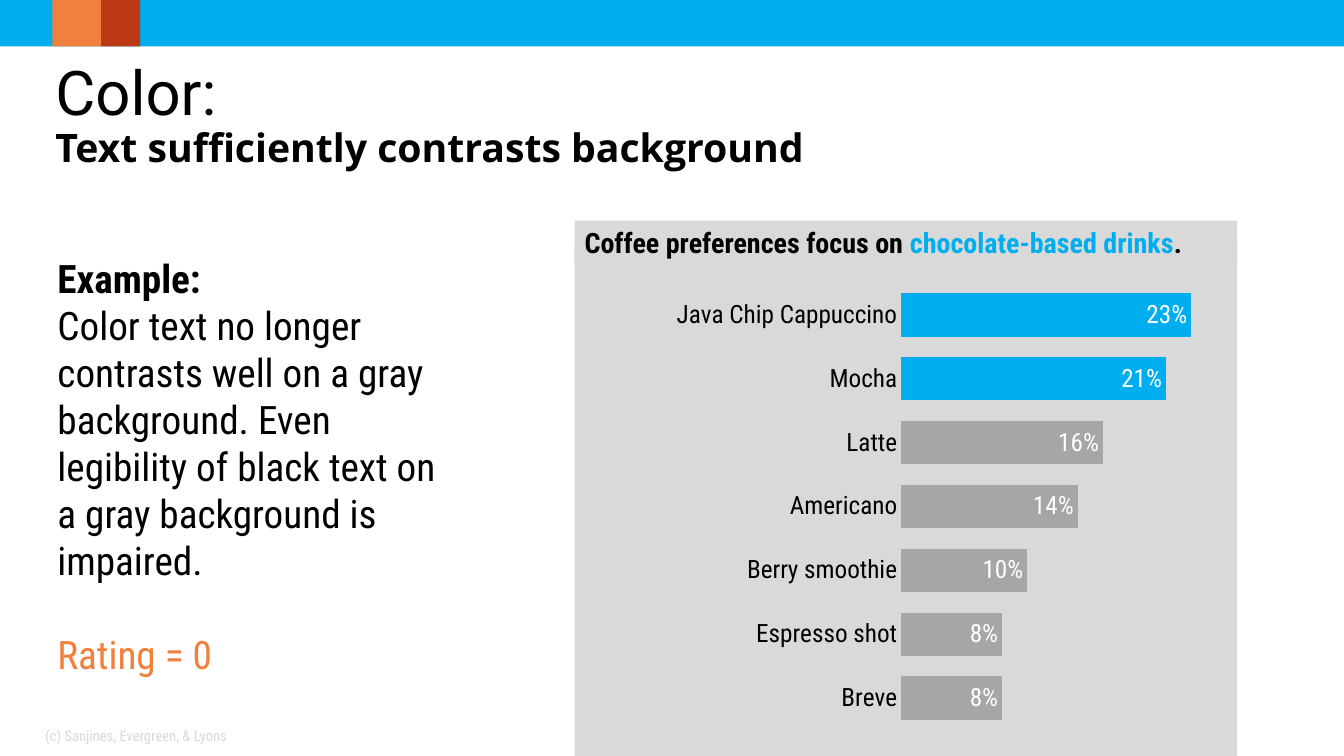
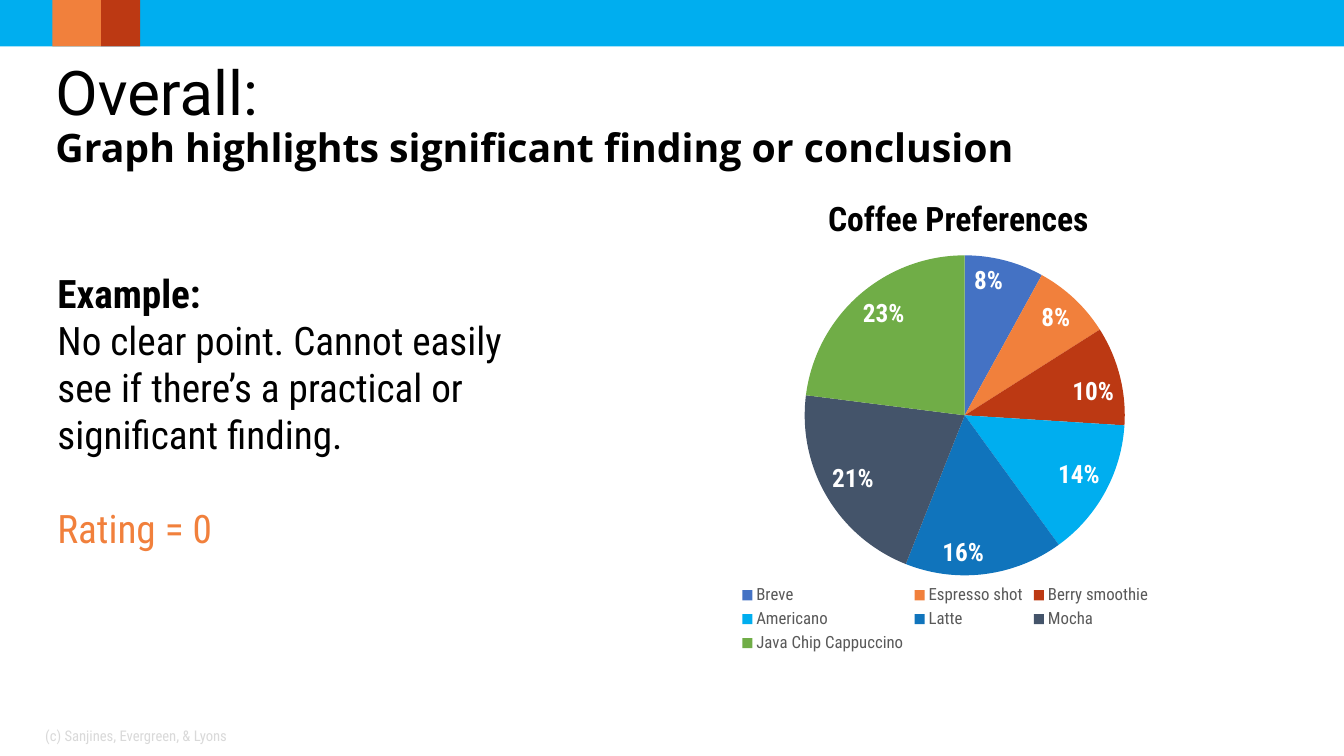
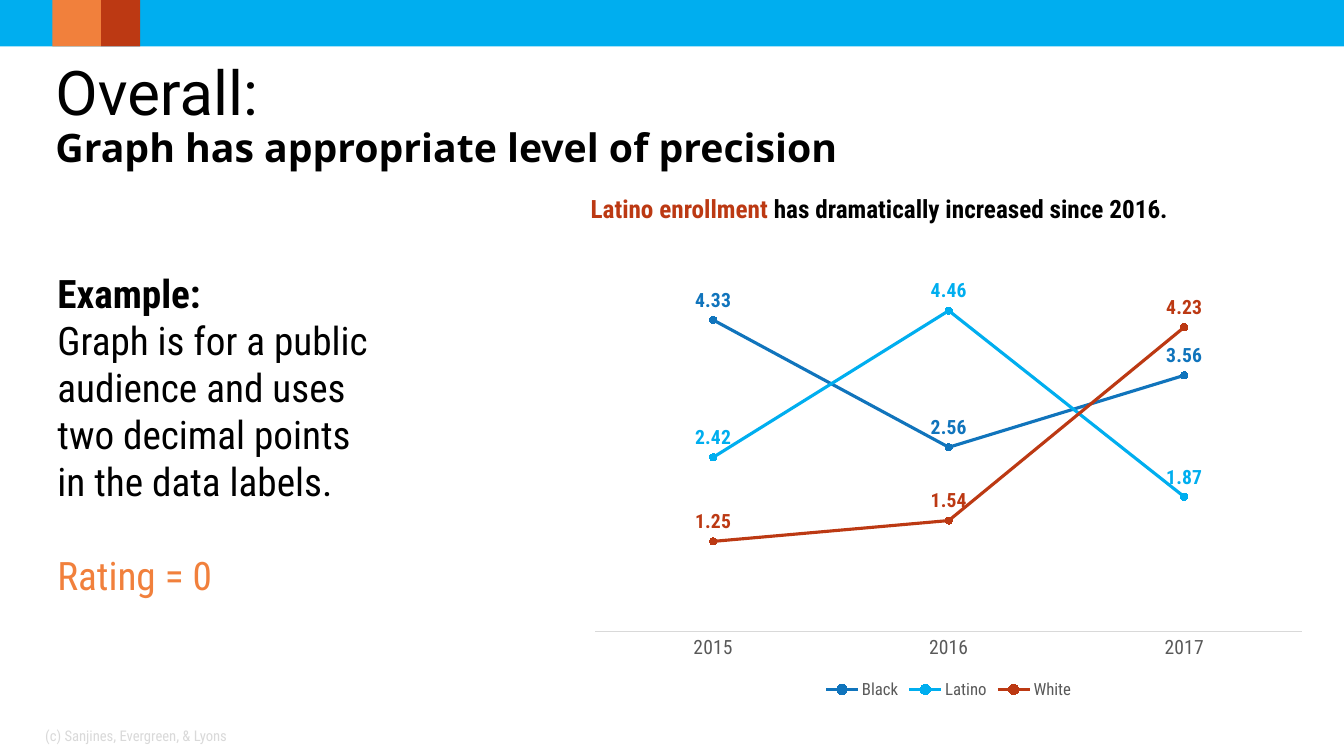
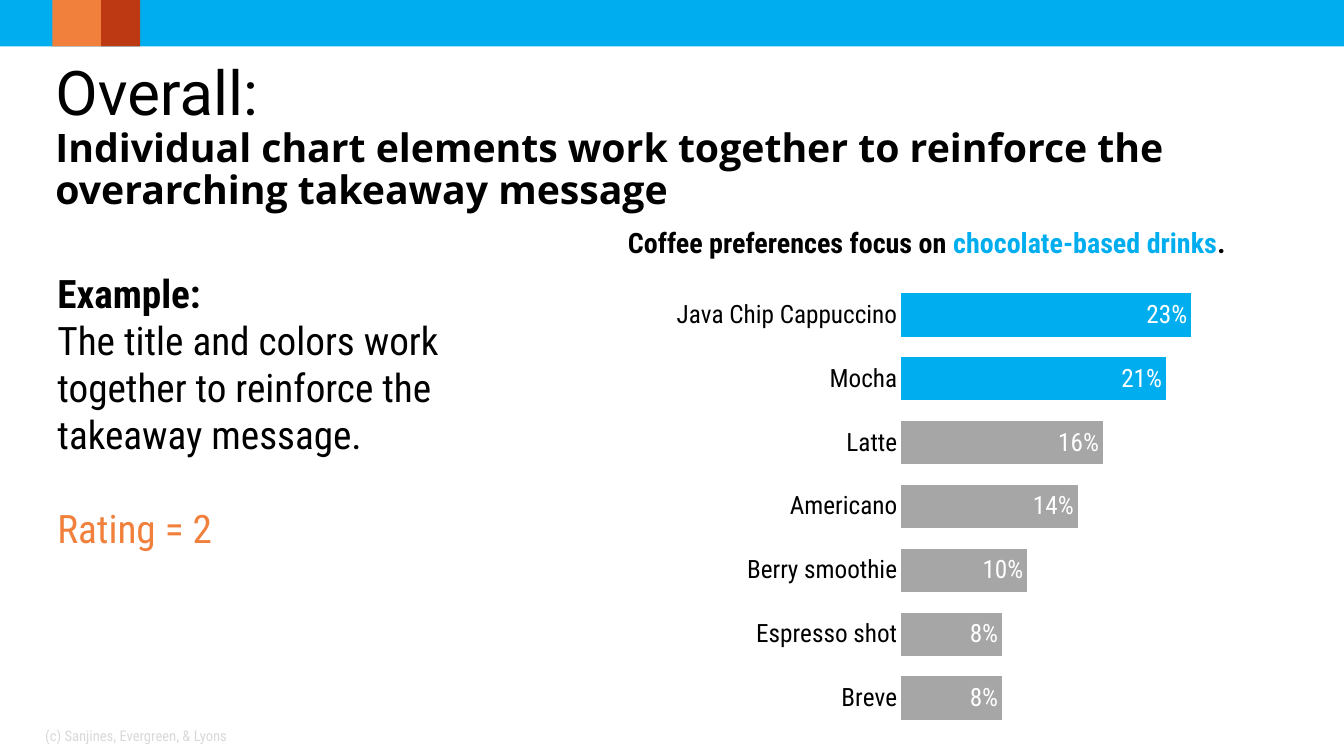
from lxml import etree
from pptx import Presentation
from pptx.chart.data import CategoryChartData
from pptx.dml.color import RGBColor
from pptx.enum import chart as ch, shapes, text
from pptx.oxml import parse_xml
from pptx.oxml.ns import nsdecls, qn
from pptx.util import Inches, Pt

BLACK = RGBColor(0x00, 0x00, 0x00)
WHITE = RGBColor(0xFF, 0xFF, 0xFF)
SKY = RGBColor(0x00, 0xAE, 0xEF)
ORANGE = RGBColor(0xF1, 0x80, 0x3C)
RUST = RGBColor(0xBC, 0x39, 0x13)
BLUE = RGBColor(0x10, 0x74, 0xBC)
INDIGO = RGBColor(0x44, 0x72, 0xC4)
SLATE = RGBColor(0x44, 0x54, 0x6A)
GREEN = RGBColor(0x70, 0xAD, 0x47)
PALE_GRAY = RGBColor(0xD9, 0xD9, 0xD9)
BAR_GRAY = RGBColor(0xA6, 0xA6, 0xA6)
TEXT_GRAY = RGBColor(0x59, 0x59, 0x59)
BODY_FONT = "Roboto Condensed"


def add_text(page, box, runs, size, bold=True, align=None,
             anchor=text.MSO_ANCHOR.TOP):
    """Add a one-paragraph text box; runs are (words, colour) pairs."""
    shape = page.shapes.add_textbox(*map(Inches, box))
    frame = shape.text_frame
    frame.word_wrap = True
    frame.vertical_anchor = anchor
    para = frame.paragraphs[0]
    para.alignment = align
    para.font.name, para.font.size, para.font.bold = BODY_FONT, Pt(size), bold
    for words, color in runs:
        span = para.add_run()
        span.text = words
        span.font.color.rgb = color
    return shape


def add_chart(page, kind, box, data, label_colors, label_size, label_bold,
              label_format, label_position, plot_area=None):
    """Add a chart with value labels; plot_area holds x, y, w, h fractions."""
    chart = page.shapes.add_chart(kind, *map(Inches, box), data).chart
    chart.has_title = chart.has_legend = False
    chart.font.name, chart.font.size = BODY_FONT, Pt(10)
    chart.font.color.rgb = BLACK
    for series, color in zip(chart.plots[0].series, label_colors):
        labels = series.data_labels
        labels.show_value = True
        labels.position = label_position
        labels.number_format = label_format
        labels.number_format_is_linked = False
        labels.font.name, labels.font.size = BODY_FONT, Pt(label_size)
        labels.font.bold = label_bold
        labels.font.color.rgb = color
    if plot_area:
        area = chart._chartSpace.chart.plotArea
        for old in area.findall(qn("c:layout")):
            area.remove(old)
        layout_xml = parse_xml(f"<c:layout {nsdecls('c')}/>")
        manual = etree.SubElement(layout_xml, qn("c:manualLayout"))
        settings = [("layoutTarget", "inner"), ("xMode", "edge"), ("yMode", "edge")]
        for tag, value in settings + list(zip("xywh", plot_area)):
            etree.SubElement(manual, qn(f"c:{tag}")).set("val", str(value))
        area.insert(0, layout_xml)
    return chart


deck = Presentation()
deck.slide_width, deck.slide_height = Inches(13.33), Inches(7.5)
layout = deck.slide_layouts[1]
for holder in list(layout.placeholders):
    if holder.placeholder_format.idx > 1:
        holder._element.getparent().remove(holder._element)

# heading, subtitle, title height, example, rating, body box
PAGES = [
    ("Color:", "Text sufficiently contrasts background", 1.25,
     "Color text no longer contrasts well on a gray background. "
     "Even legibility of black text on a gray background is impaired.",
     "Rating = 0", (0.47, 2.47, 4.2, 4.34)),
    ("Overall:", "Graph highlights significant finding or conclusion", 1.25,
     "No clear point. Cannot easily see if there’s a practical or significant finding.",
     "Rating = 0", (0.47, 2.62, 4.8, 2.93)),
    ("Overall:", "Graph has appropriate level of precision", 1.25,
     "Graph is for a public audience and uses two decimal points in the data labels.",
     "Rating = 0", (0.47, 2.62, 3.43, 3.4)),
    ("Overall:", "Individual chart elements work together to reinforce the "
     "overarching takeaway message", 1.67,
     "The title and colors work together to reinforce the takeaway message.",
     "Rating = 2", (0.47, 2.62, 4.38, 2.93)),
]
pages = []
for heading, subtitle, title_height, example, rating, body_box in PAGES:
    page = deck.slides.add_slide(layout)
    pages.append(page)

    title = page.shapes.title
    title.left, title.top = Inches(0.55), Inches(0.53)
    title.width, title.height = Inches(12.51), Inches(title_height)
    frame = title.text_frame
    frame.word_wrap = True
    frame.auto_size = text.MSO_AUTO_SIZE.NONE
    frame.vertical_anchor = text.MSO_ANCHOR.MIDDLE
    frame.margin_left = frame.margin_right = 0
    para = frame.paragraphs[0]
    para.alignment = text.PP_ALIGN.LEFT
    para.line_spacing = 0.9
    para.font.color.rgb = BLACK
    for words, font, size, bold in ((heading, "Roboto", 44, False),
                                    (subtitle, "Open Sans", 28, True)):
        if para.runs:
            para.add_line_break()
        span = para.add_run()
        span.text = words
        span.font.name, span.font.size, span.font.bold = font, Pt(size), bold

    body = page.placeholders[1]
    body.left, body.top, body.width, body.height = map(Inches, body_box)
    frame = body.text_frame
    frame.word_wrap = True
    frame.auto_size = text.MSO_AUTO_SIZE.NONE
    frame.text = "\n".join(("Example:", example, rating))
    for para, color, bold, gap in zip(frame.paragraphs, (BLACK, BLACK, ORANGE),
                                      (True, False, False), (0, 0, 33.6)):
        props = para._p.get_or_add_pPr()
        props.set("marL", "0")
        props.set("indent", "0")
        etree.SubElement(props, qn("a:buNone"))
        para.space_before = Pt(gap)
        para.font.name, para.font.size, para.font.bold = BODY_FONT, Pt(28), bold
        para.font.color.rgb = color

# Bands are made on the first slide, then moved to the shared layout.
bands = []
for left, width, color in ((0, 13.33, SKY), (1, 0.39, RUST), (0.52, 0.48, ORANGE)):
    band = pages[0].shapes.add_shape(shapes.MSO_SHAPE.RECTANGLE, Inches(left), 0,
                                     Inches(width), Inches(0.46))
    band.shadow.inherit = False
    band.fill.solid()
    band.fill.fore_color.rgb = color
    band.line.fill.background()
    bands.append(band)
for position, band in enumerate(bands, 2):
    layout.shapes._spTree.insert(position, band._element)

# Coffee charts
coffee = CategoryChartData(number_format="0%")
coffee.categories = ["Breve", "Espresso shot", "Berry smoothie", "Americano",
                     "Latte", "Mocha", "Java Chip Cappuccino"]
coffee.add_series("Series 1", (0.08, 0.08, 0.1, 0.14, 0.16, 0.21, 0.23))

for page, caption_box, backdrop in ((pages[0], (5.7, 2.19, 6.57, 0.44), PALE_GRAY),
                                    (pages[3], (6.13, 2.19, 6.34, 0.44), None)):
    chart = add_chart(page, ch.XL_CHART_TYPE.BAR_CLUSTERED, (5.7, 2.41, 6.57, 5.12),
                      coffee, [WHITE], 18, False, "0%",
                      ch.XL_LABEL_POSITION.INSIDE_END, (0.493, 0.078, 0.476, 0.866))
    plot = chart.plots[0]
    plot.gap_width = 48
    plot.vary_by_categories = False
    bars = plot.series[0]
    bars.invert_if_negative = False
    bars.format.fill.solid()
    bars.format.fill.fore_color.rgb = BAR_GRAY
    for index in (5, 6):
        fill = bars.points[index].format.fill
        fill.solid()
        fill.fore_color.rgb = SKY
    names = chart.category_axis
    names.major_tick_mark = ch.XL_TICK_MARK.NONE
    names.format.line.fill.background()
    names.tick_labels.font.size = Pt(18)
    values = chart.value_axis
    values.has_major_gridlines = values.visible = False
    values.minimum_scale, values.maximum_scale = 0, 0.25

    caption = add_text(page, caption_box, [("Coffee preferences focus on ", BLACK),
                                           ("chocolate-based drinks", SKY),
                                           (".", BLACK)], 20)
    if backdrop:
        caption.fill.solid()
        caption.fill.fore_color.rgb = backdrop
        chart._chartSpace.chart.addnext(parse_xml(
            f"<c:spPr {nsdecls('c', 'a')}><a:solidFill><a:srgbClr val='{backdrop}'/>"
            "</a:solidFill><a:ln><a:noFill/></a:ln></c:spPr>"))

pie = add_chart(pages[1], ch.XL_CHART_TYPE.PIE, (6.04, 0.98, 6.67, 5.54), coffee,
                [WHITE], 18, True, "0%", ch.XL_LABEL_POSITION.INSIDE_END,
                (0.291, 0.215, 0.476, 0.866))
slices = pie.plots[0].series[0]
for index, color in enumerate((INDIGO, ORANGE, RUST, SKY, BLUE, SLATE, GREEN)):
    fill = slices.points[index].format.fill
    fill.solid()
    fill.fore_color.rgb = color
add_text(pages[1], (6.17, 1.91, 6.67, 0.5), [("Coffee Preferences", BLACK)], 24,
         align=text.PP_ALIGN.CENTER)

# Enrollment chart
ENROLLMENT = [("Black", (4.33, 2.56, 3.56), BLUE),
              ("Latino", (2.42, 4.46, 1.87), SKY),
              ("White", (1.25, 1.54, 4.23), RUST)]
enrollment = CategoryChartData()
enrollment.categories = ["2015", "2016", "2017"]
for name, rates, color in ENROLLMENT:
    enrollment.add_series(name, rates)
line_colors = [color for name, rates, color in ENROLLMENT]
lines = add_chart(pages[2], ch.XL_CHART_TYPE.LINE_MARKERS, (5.76, 2.61, 7.3, 4.37),
                  enrollment, line_colors, 14, True, "0.00",
                  ch.XL_LABEL_POSITION.ABOVE)
for series, color in zip(lines.plots[0].series, line_colors):
    series.smooth = False
    series.format.line.color.rgb = color
    series.format.line.width = Pt(2.25)
    marker = series.marker
    marker.style, marker.size = ch.XL_MARKER_STYLE.CIRCLE, 5
    marker.format.fill.solid()
    marker.format.fill.fore_color.rgb = color
    marker.format.line.color.rgb = color
years = lines.category_axis
years.major_tick_mark = ch.XL_TICK_MARK.NONE
years.format.line.color.rgb = PALE_GRAY
years.format.line.width = Pt(0.75)
years.tick_labels.font.size = Pt(14)
years.tick_labels.font.color.rgb = TEXT_GRAY
scale = lines.value_axis
scale.has_major_gridlines = scale.visible = False
scale.minimum_scale, scale.maximum_scale = 0, 5
add_text(pages[2], (5.76, 1.87, 6.5, 0.4),
         [("Latino enrollment ", RUST),
          ("has dramatically increased since 2016.", BLACK)], 18)

for chart in (pie, lines):
    chart.has_legend = True
    legend = chart.legend
    legend.position = ch.XL_LEGEND_POSITION.BOTTOM
    legend.include_in_layout = False
    legend.font.name, legend.font.size = BODY_FONT, Pt(12)
    legend.font.color.rgb = TEXT_GRAY

for page in pages:
    add_text(page, (0.35, 7.1, 3.11, 0.4),
             [("(c) Sanjines, Evergreen, & Lyons", PALE_GRAY)], 10.5, bold=False,
             anchor=text.MSO_ANCHOR.MIDDLE)

deck.save("out.pptx")
